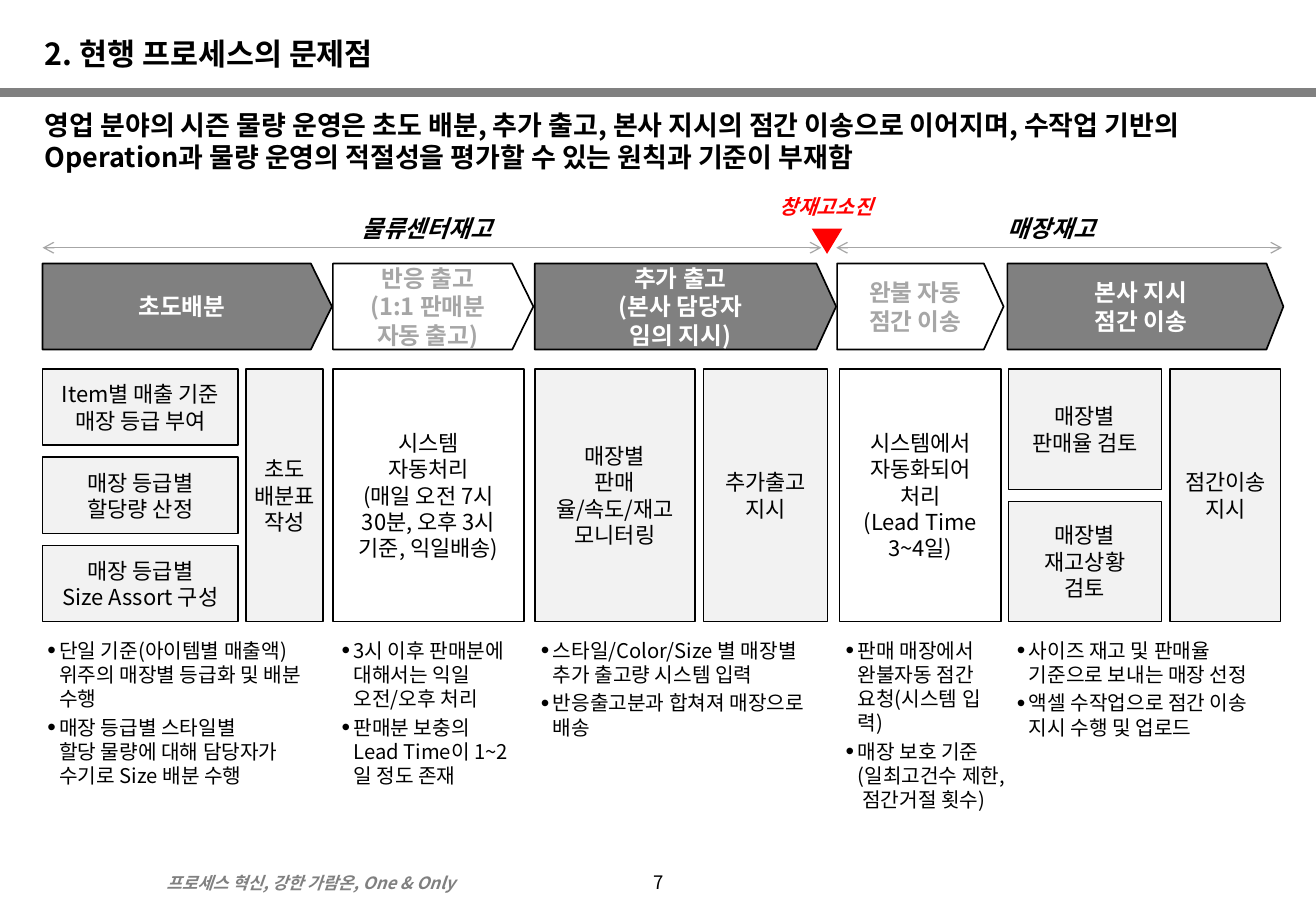
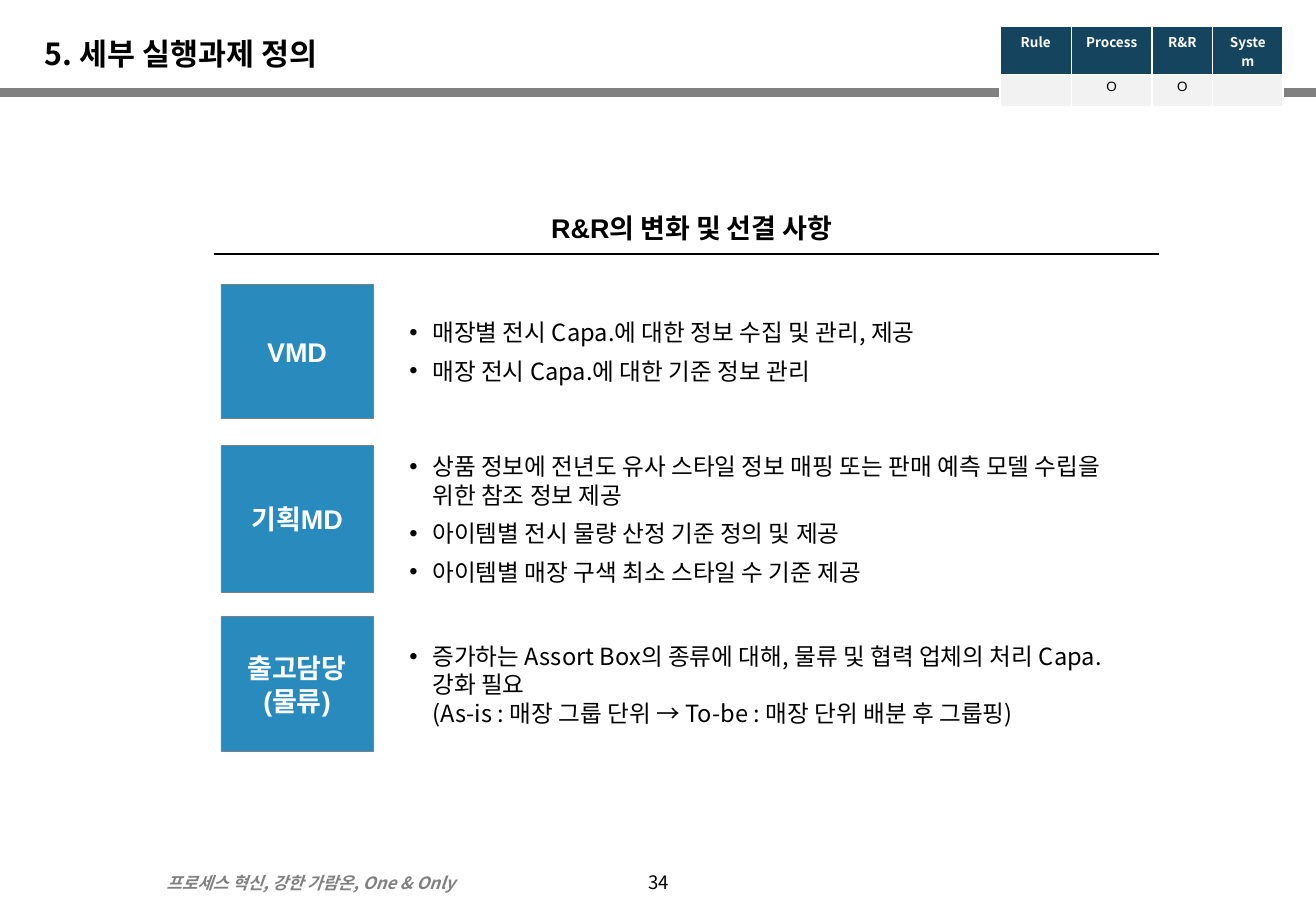
"""Build two process-innovation slides: current process problems and role changes."""
from lxml import etree
from pptx import Presentation
from pptx.dml.color import RGBColor
from pptx.enum import shapes, text
from pptx.oxml import ns
from pptx.util import Cm, Pt

COLORS = {
    "black": "000000", "white": "FFFFFF", "gray": "808080", "muted": "A6A6A6",
    "pale": "F2F2F2", "red": "FF0000", "blue": "298ABD", "navy": "15455E",
}
SANS, ARIAL = "Noto Sans CJK KR", "Arial"
WIDTH, HEIGHT = 27.51, 19.05
FOOTER = "프로세스 혁신, 강한 가람온, One & Only"

PROCESS_TITLE = "2. 현행 프로세스의 문제점"
PROCESS_MESSAGE = (
    "영업 분야의 시즌 물량 운영은 초도 배분, 추가 출고, 본사 지시의 점간 이송으로 이어지며, "
    "수작업 기반의 Operation과 물량 운영의 적절성을 평가할 수 있는 원칙과 기준이 부재함"
)
STOCK_SPANS = [
    ("물류센터재고", 8.92, 0.89, 17.17),
    ("매장재고", 21.98, 17.48, 26.8),
]
STOCK_LABEL_WIDTH = 4.6
STAGES = [
    {"name": "초도배분", "manual": True, "chevron": (0.89, 6.05, 0.245),
     "steps": [
         (0.89, 4.09, [["Item별 매출 기준 매장 등급 부여"],
                       ["매장 등급별", "할당량 산정"],
                       ["매장 등급별", "Size Assort 구성"]]),
         (5.14, 1.62, [["초도\n배분표\n작성"]])],
     "notes": (0.86, 5.89, ["단일 기준(아이템별 매출액) 위주의 매장별 등급화 및 배분 수행",
                            "매장 등급별 스타일별\n할당 물량에 대해 담당자가 수기로 Size 배분 수행"])},
    {"name": "반응 출고\n(1:1 판매분\n자동 출고)", "manual": False, "chevron": (6.96, 4.19, 0.245),
     "steps": [(6.96, 3.99, [["시스템\n자동처리", "(매일 오전 7시\n30분, 오후 3시\n기준, 익일배송)"]])],
     "notes": (7.01, 3.96, ["3시 이후 판매분에 대해서는 익일\n오전/오후 처리",
                            "판매분 보충의\nLead Time이 1~2일 정도 존재"])},
    {"name": "추가 출고\n(본사 담당자\n임의 지시)", "manual": True, "chevron": (11.18, 6.3, 0.229),
     "steps": [(11.18, 3.35, [["매장별", "판매율/속도/재고\n모니터링"]]),
               (14.71, 2.59, [["추가출고 지시"]])],
     "notes": (11.18, 5.92, ["스타일/Color/Size 별 매장별 추가 출고량 시스템 입력",
                             "반응출고분과 합쳐져 매장으로 배송"])},
    {"name": "완불 자동\n점간 이송", "manual": False, "chevron": (17.5, 3.48, 0.229),
     "steps": [(17.55, 3.38, [["시스템에서\n자동화되어\n처리", "(Lead Time\n3~4일)"]])],
     "notes": (17.55, 3.4, ["판매 매장에서 완불자동 점간 요청(시스템 입력)",
                            "매장 보호 기준 (일최고건수 제한, 점간거절 횟수)"])},
    {"name": "본사 지시\n점간 이송", "manual": True, "chevron": (21.06, 5.77, 0.197),
     "steps": [(21.08, 3.2, [["매장별\n판매율 검토"], ["매장별\n재고상황\n검토"]]),
               (24.46, 2.31, [["점간이송\n지시"]])],
     "notes": (21.13, 5.64, ["사이즈 재고 및 판매율 기준으로 보내는 매장 선정",
                             "액셀 수작업으로 점간 이송 지시 수행 및 업로드"])},
]
STEP_TOP, STEP_HEIGHT, STEP_GAP = 7.72, 5.28, 0.25

TASK_TITLE = "5. 세부 실행과제 정의"
ROLE_HEADING = "R&R의 변화 및 선결 사항"
SCOPE_ROWS = [["Rule", "Process", "R&R", "System"], ["", "O", "O", ""]]
SCOPE_WIDTHS = [1.5, 1.68, 1.27, 1.47]
SCOPE_HEIGHTS = [1.0, 0.67]
ROLES = [
    ("VMD", 5.94, 2.82, ["매장별 전시 Capa.에 대한 정보 수집 및 관리, 제공",
                         "매장 전시 Capa.에 대한 기준 정보 관리"]),
    ("기획MD", 9.32, 3.07, ["상품 정보에 전년도 유사 스타일 정보 매핑 또는 판매 예측 모델 수립을 위한 참조 정보 제공",
                          "아이템별 전시 물량 산정 기준 정의 및 제공",
                          "아이템별 매장 구색 최소 스타일 수 기준 제공"]),
    ("출고담당\n(물류)", 12.9, 2.82, ["증가하는 Assort Box의 종류에 대해, 물류 및 협력 업체의 처리 Capa. 강화 필요\n"
                                "(As-is : 매장 그룹 단위 → To-be : 매장 단위 배분 후 그룹핑)"]),
]


def rgb(name):
    return RGBColor.from_string(COLORS[name])


def add_bullet(p, indent, percent):
    props = p._p.get_or_add_pPr()
    props.set("marL", str(Cm(indent)))
    props.set("indent", str(-Cm(indent)))
    etree.SubElement(props, ns.qn("a:buSzPct"), val=str(percent * 1000))
    etree.SubElement(props, ns.qn("a:buFont"), typeface=ARIAL)
    etree.SubElement(props, ns.qn("a:buChar"), char="•")


def write(tf, lines, size, color="black", bold=False, italic=False, font=SANS, center=False,
          middle=False, insets=(0.25, 0.13, 0.25, 0.13), wrap=True, before=0, bullet=None, spacing=None):
    tf.word_wrap = wrap
    tf.vertical_anchor = text.MSO_ANCHOR.MIDDLE if middle else text.MSO_ANCHOR.TOP
    tf.margin_left, tf.margin_top, tf.margin_right, tf.margin_bottom = map(Cm, insets)
    for i, line in enumerate(lines):
        p = tf.paragraphs[0] if i == 0 else tf.add_paragraph()
        p.text = line
        p.alignment = text.PP_ALIGN.CENTER if center else text.PP_ALIGN.LEFT
        p.space_before = Pt(before)
        if spacing:
            p.line_spacing = spacing
        if bullet:
            add_bullet(p, *bullet)
        p.font.size, p.font.bold, p.font.italic = Pt(size), bold, italic
        p.font.color.rgb = rgb(color)
        p.font.name = font
        etree.SubElement(p.font._rPr, ns.qn("a:ea"), typeface=SANS)


def add_text(s, box, lines, size, **style):
    write(s.shapes.add_textbox(*map(Cm, box)).text_frame, lines, size, **style)


def add_box(s, kind, box, fill=None, line=None, weight=1.0):
    sp = s.shapes.add_shape(kind, *map(Cm, box))
    sp.shadow.inherit = False
    if fill:
        sp.fill.solid()
        sp.fill.fore_color.rgb = rgb(fill)
    else:
        sp.fill.background()
    if line:
        sp.line.color.rgb = rgb(line)
        sp.line.width = Pt(weight)
    else:
        sp.line.fill.background()
    return sp


def add_line(s, left, right, y, color, weight, arrows=False):
    line = s.shapes.add_connector(shapes.MSO_CONNECTOR.STRAIGHT, Cm(left), Cm(y), Cm(right), Cm(y))
    line.line.color.rgb = rgb(color)
    line.line.width = Pt(weight)
    if arrows:
        for end in ("a:headEnd", "a:tailEnd"):
            etree.SubElement(line.line._get_or_add_ln(), ns.qn(end), type="arrow")
    etree.SubElement(line._element.spPr, ns.qn("a:effectLst"))


def add_page(prs, title, number):
    s = prs.slides.add_slide(prs.slide_layouts[6])
    add_line(s, 0, WIDTH, 1.93, "gray", 5)
    add_text(s, (12.5, 18.11, 2.54, 0.76), [number], 11, center=True, middle=True, spacing=0.8)
    add_text(s, (3.23, 18.11, 8.43, 0.69), [FOOTER], 10, color="gray", bold=True, italic=True)
    add_text(s, (0.69, 0.61, 26, 1.17), [title], 18, bold=True)
    return s


def build_process(prs):
    s = add_page(prs, PROCESS_TITLE, "7")
    add_text(s, (0.69, 2.13, 26.06, 2.11), [PROCESS_MESSAGE], 16, bold=True, before=3.2)
    label = {"bold": True, "center": True, "middle": True, "insets": (0.15, 0, 0.15, 0)}
    add_box(s, shapes.MSO_SHAPE.FLOWCHART_MERGE, (16.97, 4.78, 0.64, 0.53), "red")
    add_text(s, (15.8, 3.91, 2.95, 0.81), ["창재고소진"], 12, color="red", italic=True, wrap=False, **label)
    for name, center, start, end in STOCK_SPANS:
        add_line(s, start, end, 5.18, "muted", 0.75, arrows=True)
        add_text(s, (center - STOCK_LABEL_WIDTH / 2, 4.37, STOCK_LABEL_WIDTH, 0.81), [name], 14,
                 italic=True, wrap=False, **label)
    for stage in STAGES:
        manual = stage["manual"]
        left, width, point = stage["chevron"]
        sp = add_box(s, shapes.MSO_SHAPE.PENTAGON, (left, 5.51, width, 1.8),
                     "gray" if manual else None, "black")
        sp.adjustments[0] = point
        write(sp.text_frame, [stage["name"]], 14, color="white" if manual else "muted", wrap=False, **label)
        for left, width, stack in stage["steps"]:
            height = (STEP_HEIGHT - STEP_GAP * (len(stack) - 1)) / len(stack)
            for i, lines in enumerate(stack):
                top = STEP_TOP + i * (height + STEP_GAP)
                sp = add_box(s, shapes.MSO_SHAPE.RECTANGLE, (left, top, width, height),
                             "pale" if manual else None, "black")
                write(sp.text_frame, lines, 13, **{**label, "bold": False})
        left, width, notes = stage["notes"]
        add_text(s, (left, 13.34, width, 3.18), notes, 12, insets=(0.13, 0, 0, 0),
                 before=2.4, bullet=(0.25, 120))


def add_scope_table(s):
    table = s.shapes.add_table(len(SCOPE_ROWS), len(SCOPE_WIDTHS), Cm(20.9), Cm(0.56),
                               Cm(sum(SCOPE_WIDTHS)), Cm(sum(SCOPE_HEIGHTS))).table
    table.horz_banding = False
    for column, width in zip(table.columns, SCOPE_WIDTHS):
        column.width = Cm(width)
    for r, (row, height) in enumerate(zip(SCOPE_ROWS, SCOPE_HEIGHTS)):
        table.rows[r].height = Cm(height)
        header = r == 0
        for c, value in enumerate(row):
            cell = table.cell(r, c)
            cell.fill.solid()
            cell.fill.fore_color.rgb = rgb("navy" if header else "pale")
            cell.margin_top = cell.margin_bottom = Cm(0.1)
            write(cell.text_frame, [value], 8, color="white" if header else "black", bold=header,
                  font=SANS if header else ARIAL, center=True, insets=(0.25, 0.1, 0.25, 0.1))


def build_tasks(prs):
    s = add_page(prs, TASK_TITLE, "34")
    add_scope_table(s)
    heading = {"bold": True, "font": ARIAL, "center": True, "middle": True}
    add_text(s, (6.27, 4.39, 16.38, 0.76), [ROLE_HEADING], 16, **heading)
    add_line(s, 4.47, 24.23, 5.31, "black", 1)
    for role, top, height, duties in ROLES:
        sp = add_box(s, shapes.MSO_SHAPE.RECTANGLE, (4.62, top, 3.18, height), "blue", "gray", 0.5)
        write(sp.text_frame, [role], 16, color="white", insets=(0.25, 0, 0.25, 0), **heading)
        add_text(s, (8.43, top, 15.5, height), duties, 14, middle=True,
                 insets=(0.13, 0.13, 0.13, 0.13), before=6, bullet=(0.48, 100))


def main():
    prs = Presentation()
    prs.slide_width, prs.slide_height = Cm(WIDTH), Cm(HEIGHT)
    build_process(prs)
    build_tasks(prs)
    prs.save("out.pptx")


if __name__ == "__main__":
    main()
